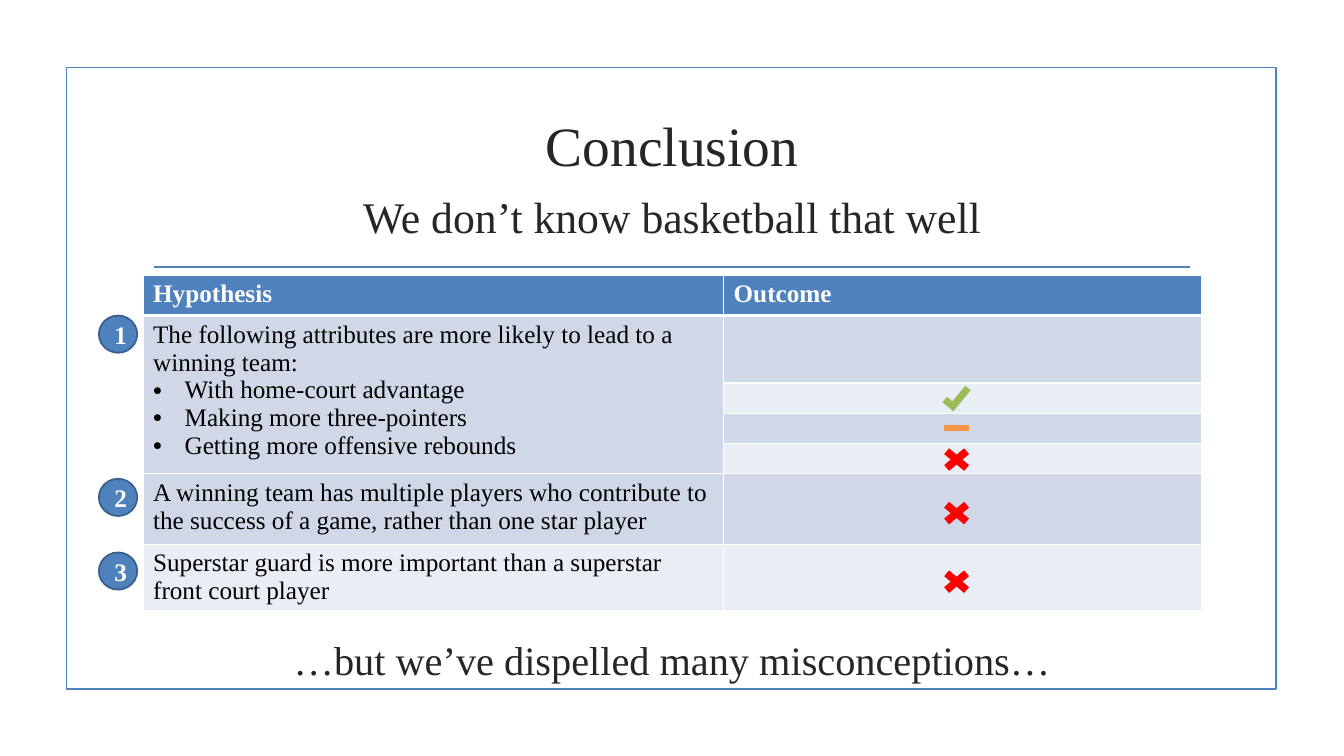
from lxml.etree import SubElement
from pptx import Presentation
from pptx.dml.color import RGBColor
from pptx.enum.shapes import MSO_CONNECTOR, MSO_SHAPE as SHAPE
from pptx.enum.text import MSO_ANCHOR as ANCHOR, MSO_AUTO_SIZE, PP_ALIGN as ALIGN
from pptx.oxml.ns import qn
from pptx.util import Pt

BLUE = RGBColor(0x4F, 0x81, 0xBD)
DARK_BLUE = RGBColor(0x3A, 0x5F, 0x8C)
BAND_DARK = RGBColor(0xD0, 0xD8, 0xE8)
BAND_LIGHT = RGBColor(0xE9, 0xED, 0xF4)
WHITE = RGBColor(0xFF, 0xFF, 0xFF)
BLACK = RGBColor(0, 0, 0)
INK = RGBColor(0x26, 0x26, 0x26)
RED = RGBColor(0xFF, 0, 0)
ORANGE = RGBColor(0xF7, 0x96, 0x46)
GREEN = RGBColor(0x9B, 0xBB, 0x59)

FONT = "Times New Roman"
COLS = [414.7, 341.3]
ROWS = [28.8, 48.2, 21.6, 21.6, 21.6, 50.4, 43.2]
BANDS = [BLUE, BAND_DARK, BAND_LIGHT, BAND_DARK, BAND_LIGHT, BAND_DARK, BAND_LIGHT]
HYPOTHESES = {
    1: ["The following attributes are more likely to lead to a winning team:",
        "With home-court advantage",
        "Making more three-pointers",
        "Getting more offensive rebounds"],
    5: ["A winning team has multiple players who contribute to the success of a game, "
        "rather than one star player"],
    6: ["Superstar guard is more important than a superstar front court player"],
}
BADGE_TOPS = [28.8, 145.4, 198]
MARKS = [
    (SHAPE.MATH_MULTIPLY, RED, 120.2, 27.4, 23, 0),
    (SHAPE.MATH_MULTIPLY, RED, 158.4, 27.4, 23, 0),
    (SHAPE.MATH_MINUS, ORANGE, 100.1, 24.5, 18, 0),
    (SHAPE.CORNER, GREEN, 81.4, 19.4, 10.1, 309.7),
    (SHAPE.MATH_MULTIPLY, RED, 207.4, 27.4, 23, 0),
]


def set_text(tf, lines, size=18, color=BLACK, bold=False, align=ALIGN.LEFT,
             anchor=ANCHOR.TOP, bullets=False):
    tf.word_wrap = True
    tf.vertical_anchor = anchor
    for i, line in enumerate(lines):
        p = tf.paragraphs[0] if i == 0 else tf.add_paragraph()
        p.alignment = align
        r = p.add_run()
        r.text = line
        r.font.name = FONT
        r.font.size = Pt(size)
        r.font.bold = bold
        r.font.color.rgb = color
        if bullets and i:
            pPr = p._p.get_or_add_pPr()
            pPr.set("marL", str(Pt(22.5)))
            pPr.set("indent", str(-Pt(22.5)))
            SubElement(pPr, qn("a:buFont"), typeface="Arial")
            SubElement(pPr, qn("a:buChar"), char="•")


def add_shape(s, kind, x, y, w, h, fill=None, line=None):
    sp = s.shapes.add_shape(kind, Pt(x), Pt(y), Pt(w), Pt(h))
    sp.shadow.inherit = False
    if fill is None:
        sp.fill.background()
    else:
        sp.fill.solid()
        sp.fill.fore_color.rgb = fill
    if line is None:
        sp.line.fill.background()
    else:
        sp.line.color.rgb = line
        sp.line.width = Pt(1.25)
    return sp


def add_frame(s, x, y, w, h):
    add_shape(s, SHAPE.RECTANGLE, x, y, w, h, line=BLUE)
    rule = s.shapes.add_connector(MSO_CONNECTOR.STRAIGHT, Pt(x + 62.5), Pt(y + 142.6),
                                  Pt(x + w - 61.5), Pt(y + 142.6))
    rule.line.color.rgb = BLUE
    rule.line.width = Pt(1.25)
    SubElement(rule._element.spPr, qn("a:effectLst"))


def style_cell(cell, fill, bottom):
    tcPr = cell._tc.get_or_add_tcPr()
    for side, width in (("L", 1), ("R", 1), ("T", 1), ("B", bottom)):
        ln = SubElement(tcPr, qn(f"a:ln{side}"), w=str(Pt(width)))
        SubElement(SubElement(ln, qn("a:solidFill")), qn("a:srgbClr"), val=str(WHITE))
    cell.fill.solid()
    cell.fill.fore_color.rgb = fill
    end = SubElement(cell.text_frame.paragraphs[0]._p, qn("a:endParaRPr"))
    end.set("sz", "1000")


def add_hypotheses(s, x, y, w, h):
    table = s.shapes.add_table(len(ROWS), len(COLS), Pt(x), Pt(y), Pt(w), Pt(h)).table
    for col, width in zip(table.columns, COLS):
        col.width = Pt(width)
    for i, (row, height) in enumerate(zip(table.rows, ROWS)):
        row.height = Pt(height)
        for cell in row.cells:
            style_cell(cell, BANDS[i], 1 if i else 3)
    table.cell(1, 0).merge(table.cell(4, 0))
    for cell, heading in zip(table.rows[0].cells, ("Hypothesis", "Outcome")):
        set_text(cell.text_frame, [heading], color=WHITE, bold=True)
    for i, lines in HYPOTHESES.items():
        set_text(table.cell(i, 0).text_frame, lines, bullets=True)


def add_badges(s, x, y):
    for number, top in enumerate(BADGE_TOPS, 1):
        sp = add_shape(s, SHAPE.OVAL, x, y + top, 27.4, 26.6, BLUE, DARK_BLUE)
        set_text(sp.text_frame, [str(number)], color=WHITE, bold=True,
                 align=ALIGN.CENTER, anchor=ANCHOR.MIDDLE)


def add_marks(s, center, y):
    for kind, color, top, w, h, turn in MARKS:
        sp = add_shape(s, kind, center - w / 2, y + top, w, h, color)
        sp.rotation = turn


def add_heading(sp, text, size, x, y, w, h):
    sp.left, sp.top, sp.width, sp.height = Pt(x), Pt(y), Pt(w), Pt(h)
    sp.text_frame.auto_size = MSO_AUTO_SIZE.NONE
    set_text(sp.text_frame, [text], size=size, color=INK,
             align=ALIGN.CENTER, anchor=ANCHOR.MIDDLE)


def add_conclusion(prs, x, y, w, h):
    s = prs.slides.add_slide(prs.slide_layouts[5])
    add_frame(s, x, y, w, h)
    left, top, width = x + 54.7, y + 148.4, sum(COLS)
    add_hypotheses(s, left, top, width, sum(ROWS))
    add_badges(s, left - 31.6, top)
    add_marks(s, left + 581.1, top)
    add_heading(s.shapes.title, "Conclusion", 39.6, left, y + 28.8, width, 51.8)
    for text, size, dy, height in (
            ("We don’t know basketball that well", 31.2, 80, 51.8),
            ("…but we’ve dispelled many misconceptions…", 28.8, 403.2, 38.9)):
        sp = s.shapes.add_textbox(0, 0, 0, 0)
        add_heading(sp, text, size, left, y + dy, width, height)


def main():
    prs = Presentation()
    prs.slide_width, prs.slide_height = Pt(960), Pt(540)
    add_conclusion(prs, 47.5, 48.2, 864, 444.2)
    prs.save("out.pptx")


if __name__ == "__main__":
    main()
